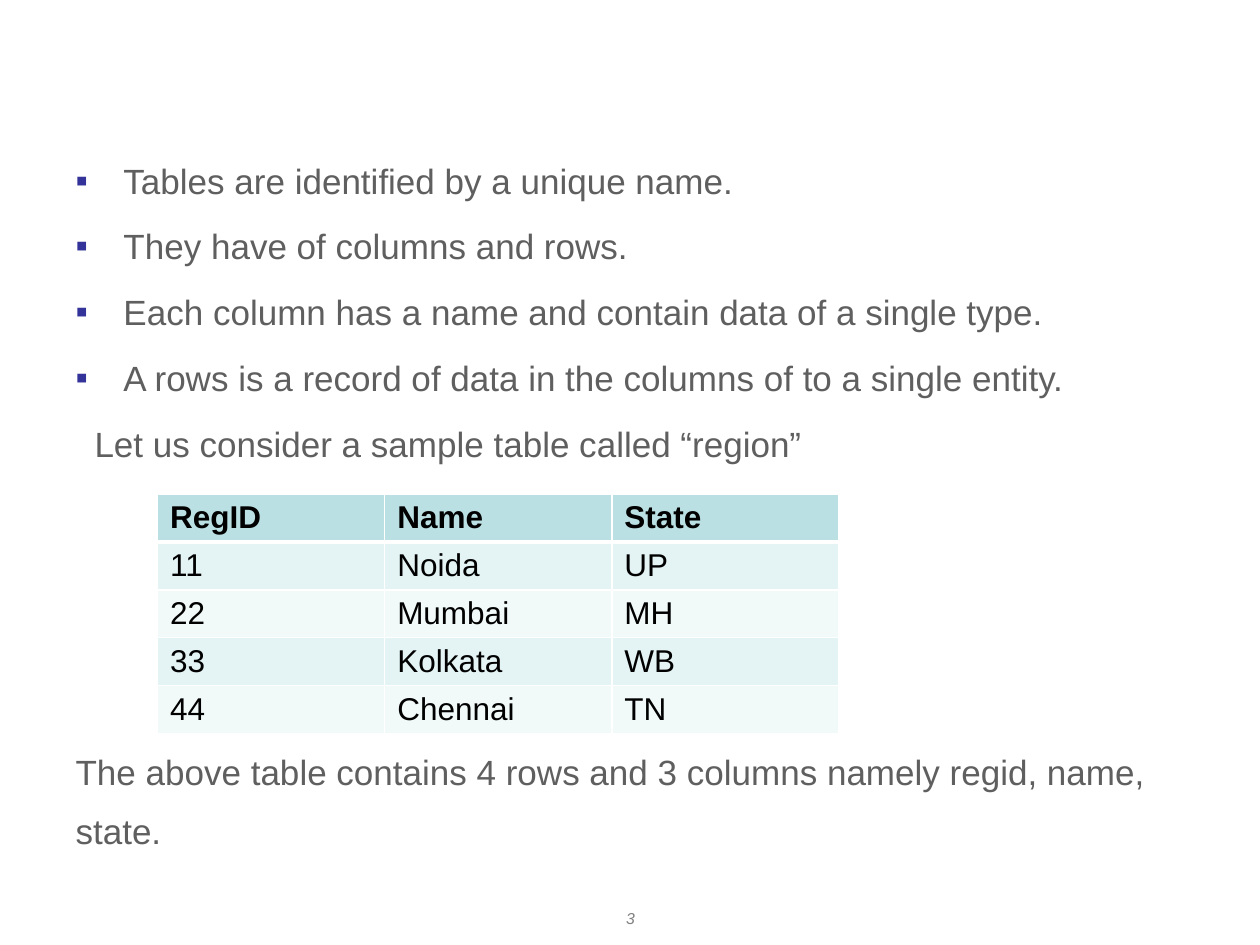
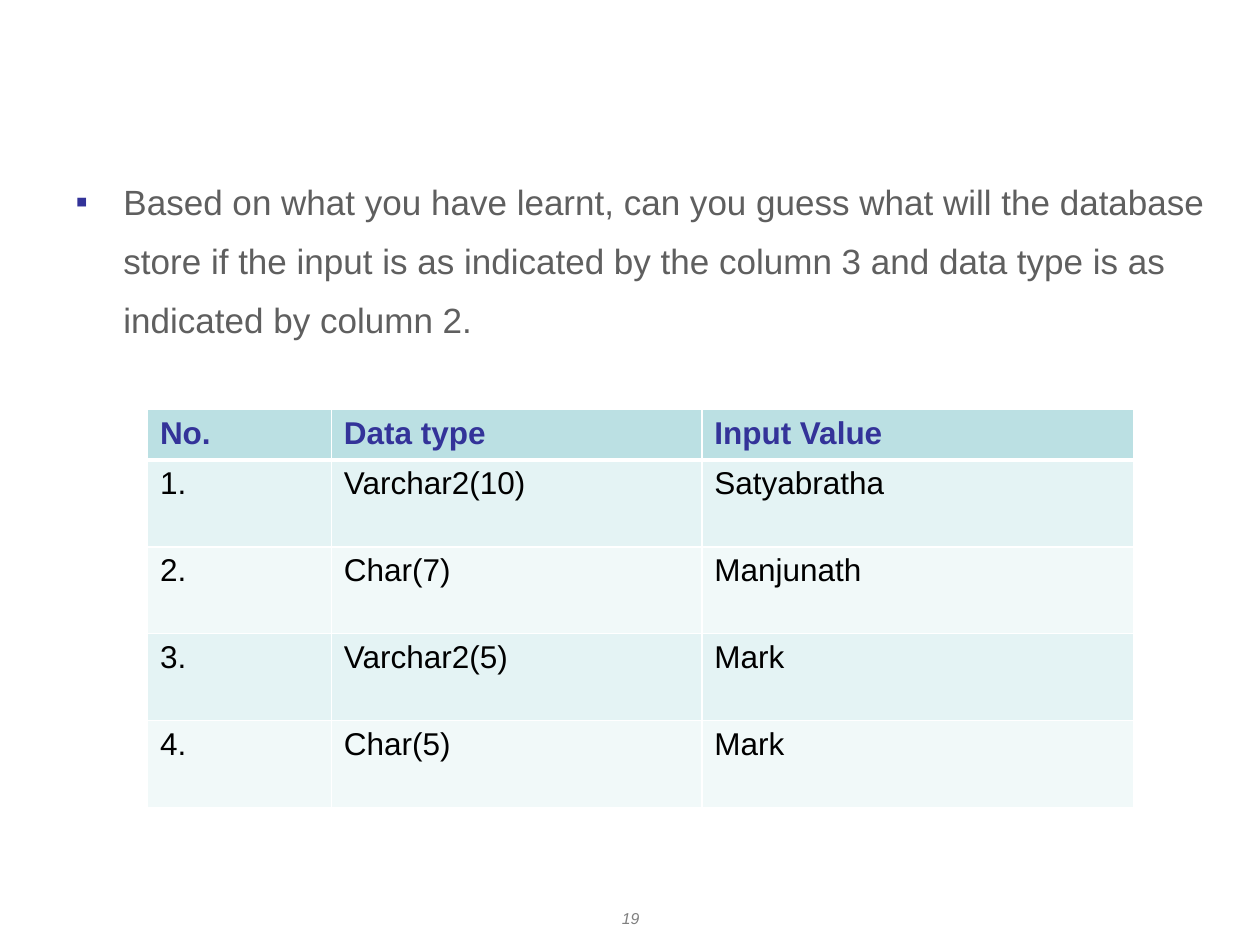
from dataclasses import dataclass

from lxml import etree
from pptx import Presentation
from pptx.dml.color import RGBColor
from pptx.enum.text import MSO_ANCHOR, MSO_AUTO_SIZE, PP_ALIGN
from pptx.oxml.ns import qn
from pptx.util import Inches, Pt

CENTER = PP_ALIGN.CENTER
TOP, MIDDLE = MSO_ANCHOR.TOP, MSO_ANCHOR.MIDDLE
NO_AUTOFIT = MSO_AUTO_SIZE.NONE
TITLE_AND_CONTENT = 1


@dataclass(frozen=True)
class Theme:
    font: str = "Arial"
    text: str = "5F5F5F"
    accent: str = "333399"
    footer: str = "808080"
    cell_text: str = "000000"
    header_fill: str = "BBE0E3"
    band_fills: tuple = ("E4F3F4", "F1F9F9")
    border: str = "FFFFFF"
    body_size: int = 20
    table_size: int = 18
    footer_size: int = 9
    line_spacing: float = 1.4
    space_before: int = 4
    thin_border: int = 1
    header_border: int = 3


def write_text(paragraph, text, *, font, size, color, bold=False, italic=False,
               alignment=None):
    run = paragraph.add_run()
    run.text = text
    run.font.name = font
    run.font.size = Pt(size)
    run.font.bold = bold
    run.font.italic = italic
    run.font.color.rgb = RGBColor.from_string(color)
    if alignment is not None:
        paragraph.alignment = alignment


def set_bullet(paragraph, color, font):
    """Give the paragraph a square bullet with a hanging indent."""
    properties = paragraph._p.get_or_add_pPr()
    properties.set("marL", str(Inches(0.38)))
    properties.set("indent", str(-Inches(0.38)))
    bullet_color = etree.SubElement(properties, qn("a:buClr"))
    etree.SubElement(bullet_color, qn("a:srgbClr"), val=color)
    etree.SubElement(properties, qn("a:buFont"), typeface=font)
    etree.SubElement(properties, qn("a:buChar"), char="▪")


def clear_bullet(paragraph, left):
    properties = paragraph._p.get_or_add_pPr()
    properties.set("marL", str(Inches(left)))
    properties.set("indent", "0")
    etree.SubElement(properties, qn("a:buNone"))


def set_borders(cell, color, widths):
    """Draw the left, right, top and bottom borders, in that order."""
    properties = cell._tc.get_or_add_tcPr()
    for index, (side, width) in enumerate(zip("LRTB", widths)):
        line = etree.Element(qn(f"a:ln{side}"), w=str(Pt(width)))
        fill = etree.SubElement(line, qn("a:solidFill"))
        etree.SubElement(fill, qn("a:srgbClr"), val=color)
        properties.insert(index, line)


class Deck:
    """Holds the theme and the slide that is being built."""

    def __init__(self, theme):
        self.theme = theme
        self.presentation = Presentation()
        self.presentation.slide_width = Inches(10)
        self.presentation.slide_height = Inches(7.5)
        self.slide = None

    def add_slide(self, number):
        layout = self.presentation.slide_layouts[TITLE_AND_CONTENT]
        self.slide = self.presentation.slides.add_slide(layout)
        title = self.slide.shapes.title._element
        title.getparent().remove(title)
        self.add_page_number(number)

    def add_page_number(self, number):
        box = self.slide.shapes.add_textbox(
            Inches(3.84), Inches(7.16), Inches(2.33), Inches(0.26))
        frame = box.text_frame
        frame.word_wrap = True
        frame.vertical_anchor = MIDDLE
        write_text(frame.paragraphs[0], str(number), font=self.theme.font,
                   size=self.theme.footer_size, color=self.theme.footer,
                   italic=True, alignment=CENTER)

    def place_body(self, left, top, width, height):
        body = self.slide.placeholders[1]
        body.left, body.top = Inches(left), Inches(top)
        body.width, body.height = Inches(width), Inches(height)
        frame = body.text_frame
        frame.word_wrap = True
        frame.auto_size = NO_AUTOFIT
        frame.vertical_anchor = TOP

    def add_body_line(self, text, bullet=True, left=0, space_before=None):
        theme = self.theme
        frame = self.slide.placeholders[1].text_frame
        paragraph = frame.paragraphs[0] if not frame.text else frame.add_paragraph()
        paragraph.line_spacing = theme.line_spacing
        paragraph.space_before = Pt(space_before or theme.space_before)
        if bullet:
            set_bullet(paragraph, theme.accent, theme.font)
        else:
            clear_bullet(paragraph, left)
        write_text(paragraph, text, font=theme.font, size=theme.body_size,
                   color=theme.text)

    def add_table(self, rows, left, top, column_widths, header_height,
                  row_height, header_color):
        theme = self.theme
        heights = [header_height] + [row_height] * (len(rows) - 1)
        table = self.slide.shapes.add_table(
            len(rows), len(column_widths), Inches(left), Inches(top),
            Inches(sum(column_widths)), Inches(sum(heights))).table
        for column, width in zip(table.columns, column_widths):
            column.width = Inches(width)
        for index, (row, height, values) in enumerate(
                zip(table.rows, heights, rows)):
            row.height = Inches(height)
            is_header = index == 0
            fill = theme.header_fill if is_header else theme.band_fills[(index - 1) % 2]
            color = header_color if is_header else theme.cell_text
            top_border = theme.header_border if index == 1 else theme.thin_border
            bottom_border = theme.header_border if is_header else theme.thin_border
            for cell, value in zip(row.cells, values):
                cell.margin_bottom = Inches(0.03)
                cell.fill.solid()
                cell.fill.fore_color.rgb = RGBColor.from_string(fill)
                set_borders(cell, theme.border,
                            (theme.thin_border, theme.thin_border,
                             top_border, bottom_border))
                write_text(cell.text_frame.paragraphs[0], value, font=theme.font,
                           size=theme.table_size, color=color, bold=is_header)


def build_region_slide(deck):
    deck.add_slide(3)
    deck.place_body(0.5, 1.08, 9.33, 6.17)
    for text in (
        "Tables are identified by a unique name.",
        "They have of columns and rows.",
        "Each column has a name and contain data of a single type.",
        "A rows is a record of data in the columns of to a single entity.",
    ):
        deck.add_body_line(text)
    deck.add_body_line("Let us consider a sample table called “region”",
                       bullet=False, left=0.15)
    deck.add_body_line(
        "The above table contains 4 rows and 3 columns namely regid, name, state.",
        bullet=False, space_before=154)
    regions = [
        ("RegID", "Name", "State"),
        ("11", "Noida", "UP"),
        ("22", "Mumbai", "MH"),
        ("33", "Kolkata", "WB"),
        ("44", "Chennai", "TN"),
    ]
    deck.add_table(regions, 1.25, 3.92, [5.41 / 3] * 3, header_height=0.38,
                   row_height=0.38, header_color=deck.theme.cell_text)


def build_data_type_slide(deck):
    deck.add_slide(19)
    deck.place_body(0.5, 1.25, 9.25, 1.33)
    deck.add_body_line(
        "Based on what you have learnt, can you guess what will the database "
        "store if the input is as indicated by the column 3 and data type is as "
        "indicated by column 2.")
    inputs = [
        ("No.", "Data type", "Input Value"),
        ("1.", "Varchar2(10)", "Satyabratha"),
        ("2.", "Char(7)", "Manjunath"),
        ("3.", "Varchar2(5)", "Mark"),
        ("4.", "Char(5)", "Mark"),
    ]
    deck.add_table(inputs, 1.17, 3.25, [1.46, 2.94, 3.43], header_height=0.4,
                   row_height=0.69, header_color=deck.theme.accent)


def main():
    deck = Deck(Theme())
    build_region_slide(deck)
    build_data_type_slide(deck)
    deck.presentation.save("out.pptx")


if __name__ == "__main__":
    main()
